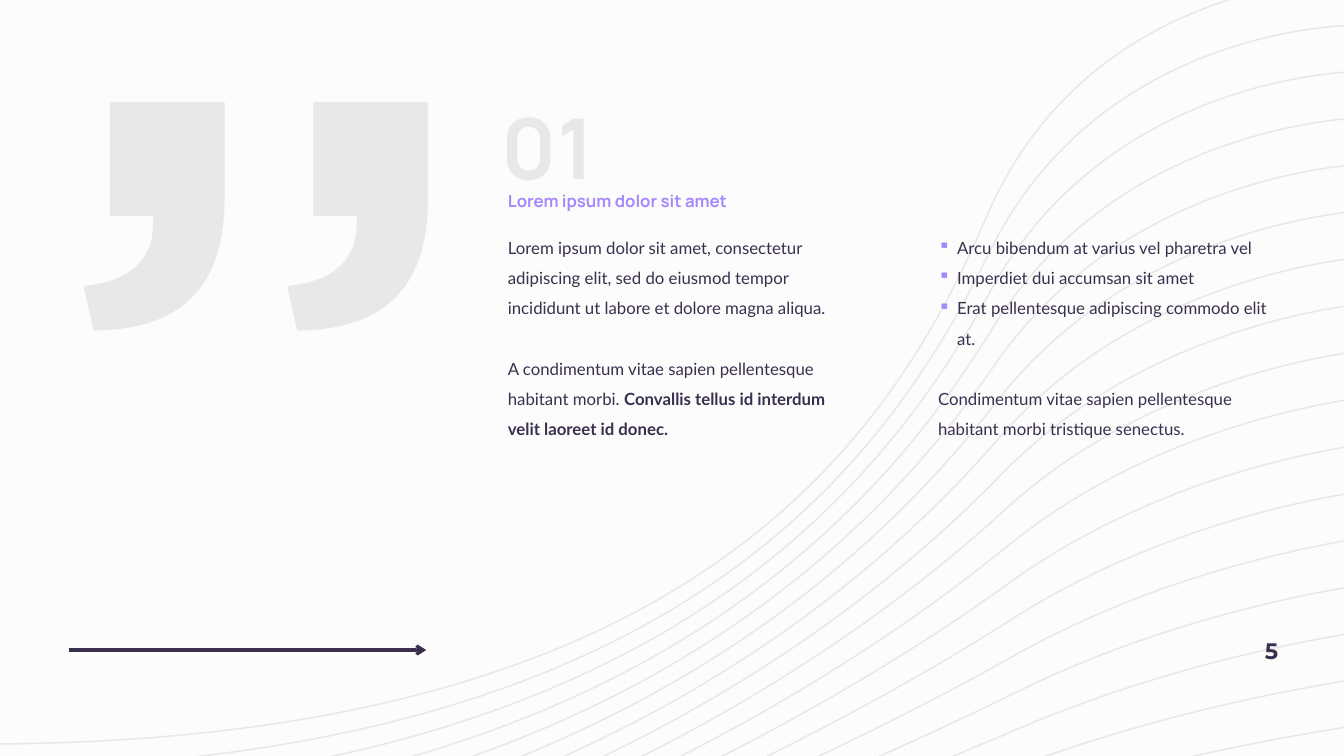
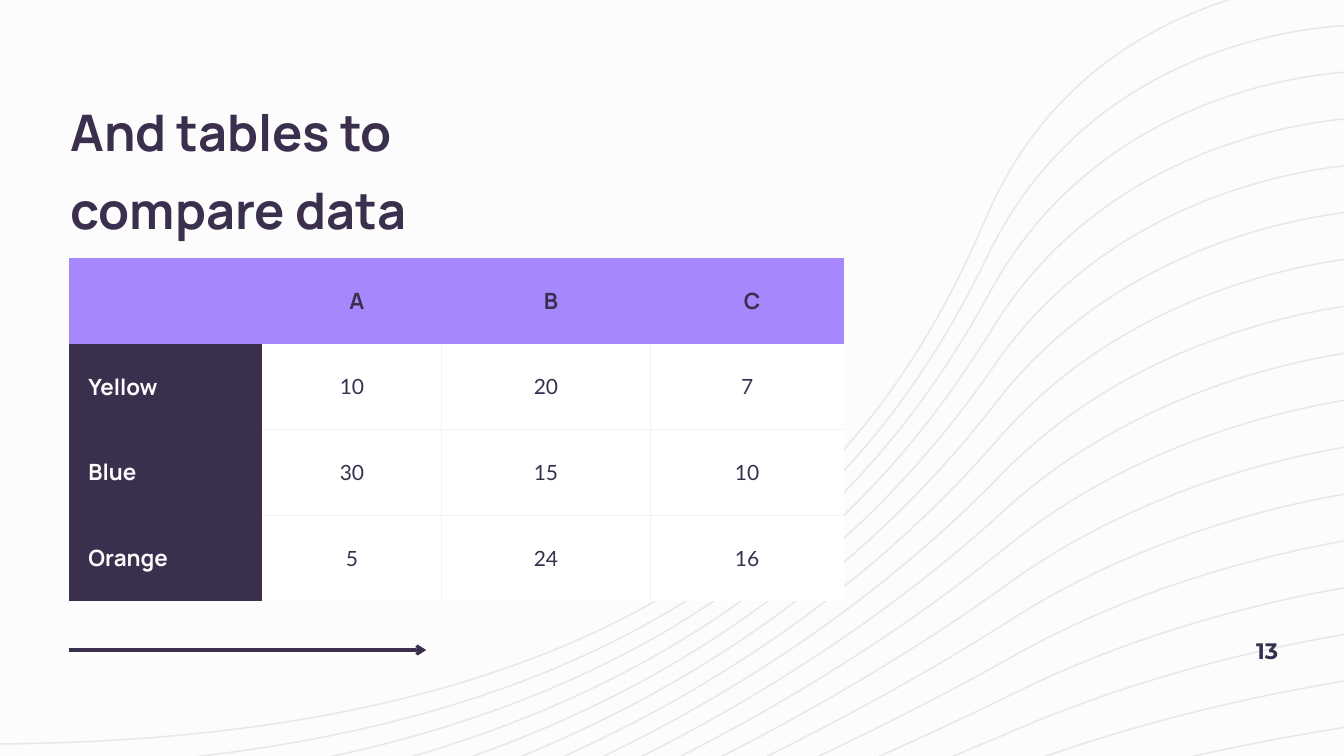
from dataclasses import dataclass

from pptx import Presentation
from pptx import util as u
from pptx.dml.color import RGBColor
from pptx.enum import shapes, text
from pptx.oxml import ns
from pptx.oxml.xmlchemy import OxmlElement


# Colours, fonts and type sizes
@dataclass(frozen=True)
class Theme:
    ink: str = "3B2F4E"
    accent: str = "A688FC"
    paper: str = "FCFCFC"
    white: str = "FFFFFF"
    grid: str = "F2F2F2"
    heading_font: str = "Manrope"
    body_font: str = "Lato"
    number_font: str = "Montserrat"
    number_size: int = 16
    body_size: int = 12
    title_size: int = 36
    figure_size: int = 60
    label_size: int = 16
    value_size: int = 15
    faint: int = 10  # opacity in percent


THEME = Theme()
BLANK_LINE = 21.6  # points

# Top, middle and bottom curves of the wave field, in cm
WAVE_COUNT = 17
WAVE_KEYS = (
    ((34.14, -0.53), (34.14, -0.53), (27.48, -0.69), (24.84, 5.51),
     (22.2, 11.71), (16.76, 18.75), (-0.53, 18.75)),
    ((34.82, 8.79), (34.82, 8.79), (29.41, 9.12), (25.32, 12.85),
     (20.45, 17.32), (12.17, 22.2), (0.43, 23.9)),
    ((35.51, 18.11), (35.51, 18.11), (30.94, 18.59), (25.81, 20.19),
     (18.26, 22.56), (7.59, 25.65), (1.42, 29.08)),
)

# Quote mark outline, in cm: one point is a line, three are a curve
QUOTE_START = (2.11, 7.21)
QUOTE_SEGMENTS = (
    ((3.28, 7.09), (3.86, 6.55), (3.86, 5.64)),
    ((3.86, 5.44),),
    ((2.77, 5.44),),
    ((2.77, 2.57),),
    ((5.66, 2.57),),
    ((5.66, 4.98),),
    ((5.66, 7.34), (4.47, 8.31), (2.36, 8.33)),
)
QUOTE_STEP = 5.13


def rgb(color):
    return RGBColor.from_string(color)


def add_child(parent, tag, **attributes):
    child = OxmlElement(tag)
    for name, value in attributes.items():
        child.set(name, str(value))
    parent.append(child)
    return child


def make_faint(element):
    """Make every solid colour under the element see-through."""
    for color in element.iter(ns.qn("a:srgbClr")):
        add_child(color, "a:alpha", val=THEME.faint * 1000)


def style_font(paragraph, font, size, color, bold=False):
    paragraph.font.name = font
    paragraph.font.size = u.Pt(size)
    paragraph.font.bold = bold
    paragraph.font.color.rgb = rgb(color)


# Text
def add_text_box(slide, left, top, width, height, inset=True):
    box = slide.shapes.add_textbox(*map(u.Cm, (left, top, width, height)))
    frame = box.text_frame
    frame.word_wrap = True
    if not inset:
        frame.margin_left = frame.margin_right = 0
        frame.margin_top = frame.margin_bottom = 0
    return frame


def add_line_of_text(frame, content, font, size, color, spacing=None, bold=True):
    paragraph = frame.paragraphs[0]
    paragraph.text = content
    paragraph.line_spacing = spacing
    style_font(paragraph, font, size, color, bold)
    return paragraph


def add_bullet(paragraph):
    properties = paragraph._p.get_or_add_pPr()
    indent = u.Cm(0.48)
    properties.set("marL", str(indent))
    properties.set("indent", str(-indent))
    color = add_child(properties, "a:buClr")
    add_child(color, "a:srgbClr", val=THEME.accent)
    add_child(properties, "a:buChar", char="▪")


def add_body(slide, left, entries):
    """Entries are (plain text, bold text, bulleted, space before)."""
    frame = add_text_box(slide, left, 5.61, 8.81, 5.54)
    for index, (plain, strong, bulleted, space) in enumerate(entries):
        paragraph = frame.add_paragraph() if index else frame.paragraphs[0]
        paragraph.line_spacing = 1.5
        if space:
            paragraph.space_before = u.Pt(space)
        if bulleted:
            add_bullet(paragraph)
        style_font(paragraph, THEME.body_font, THEME.body_size, THEME.ink, None)
        paragraph.add_run().text = plain
        if strong:
            run = paragraph.add_run()
            run.text = strong
            run.font.bold = True


# Curved outlines
def add_outline(group, start, segments, close=False):
    points = [tuple(map(u.Cm, point)) for segment in segments for point in segment]
    builder = group.shapes.build_freeform(*map(u.Cm, start))
    builder.add_line_segments(points, close=close)
    shape = builder.convert_to_shape()
    shape.shadow.inherit = False
    # Join three straight steps into one curve
    steps = iter(list(shape._element.iter(ns.qn("a:lnTo"))))
    for segment in segments:
        members = [next(steps) for _ in segment]
        if len(members) == 3:
            curve = OxmlElement("a:cubicBezTo")
            members[0].addprevious(curve)
            for member in members:
                curve.append(member[0])
                member.getparent().remove(member)
    return shape


def blend(first, middle, last, t):
    """Quadratic through three values at t = 0, 0.5 and 1."""
    return (first * (1 - t) * (1 - 2 * t) + middle * 4 * t * (1 - t)
            + last * t * (2 * t - 1))


def add_waves(slide):
    group = slide.shapes.add_group_shape()
    for index in range(WAVE_COUNT):
        t = index / (WAVE_COUNT - 1)
        points = [tuple(blend(*values, t) for values in zip(*keys))
                  for keys in zip(*WAVE_KEYS)]
        wave = add_outline(group, points[0], (points[1:4], points[4:]))
        wave.fill.background()
        wave.line.color.rgb = rgb(THEME.ink)
        wave.line.width = u.Pt(1.1)
        make_faint(wave._element)


def add_quote_marks(slide):
    group = slide.shapes.add_group_shape()
    for shift in (0, QUOTE_STEP):
        start, *segments = [
            [(x + shift, y) for x, y in segment]
            for segment in ((QUOTE_START,), *QUOTE_SEGMENTS)
        ]
        mark = add_outline(group, start[0], segments, close=True)
        mark.fill.solid()
        mark.fill.fore_color.rgb = rgb(THEME.ink)
        mark.line.fill.background()
        make_faint(mark._element)


def add_arrow(slide):
    arrow = slide.shapes.add_connector(
        shapes.MSO_CONNECTOR.STRAIGHT,
        u.Cm(1.73), u.Cm(16.38), u.Cm(10.74), u.Cm(16.38))
    arrow.line.color.rgb = rgb(THEME.ink)
    arrow.line.width = u.Pt(2.25)
    add_child(arrow.line._get_or_add_ln(), "a:tailEnd", type="arrow")
    add_child(arrow._element.spPr, "a:effectLst")


# Background, waves, arrow and page number of every slide
def add_slide(presentation, number):
    slide = presentation.slides.add_slide(presentation.slide_layouts[6])
    slide.background.fill.solid()
    slide.background.fill.fore_color.rgb = rgb(THEME.paper)
    add_waves(slide)
    add_arrow(slide)
    frame = add_text_box(slide, 30.48, 15.88, 1.98, 1.02)
    frame.vertical_anchor = text.MSO_ANCHOR.MIDDLE
    paragraph = add_line_of_text(
        frame, number, THEME.number_font, THEME.number_size, THEME.ink)
    paragraph.alignment = text.PP_ALIGN.RIGHT
    return slide


# Table
def style_cell(cell, row, column, last_row, last_column):
    header, label = row == 0, column == 0
    if not header and not label:
        inner_sides = {"L": column > 1, "R": column < last_column,
                       "T": row > 1, "B": row < last_row}
        for side, inner in inner_sides.items():
            if inner:
                line = add_child(cell._tc.get_or_add_tcPr(), f"a:ln{side}", w=u.Pt(1))
                fill = add_child(line, "a:solidFill")
                add_child(fill, "a:srgbClr", val=THEME.grid)
    cell.fill.solid()
    cell.fill.fore_color.rgb = rgb(
        THEME.accent if header else THEME.ink if label else THEME.white)
    cell.vertical_anchor = text.MSO_ANCHOR.MIDDLE
    if header or label:
        cell.margin_left = u.Cm(0.5)
    if label and not header:
        cell.margin_right = cell.margin_top = cell.margin_bottom = u.Cm(0.5)
    paragraph = cell.text_frame.paragraphs[0]
    if not label:
        paragraph.alignment = text.PP_ALIGN.CENTER
    if header or label:
        style_font(paragraph, THEME.heading_font, THEME.label_size,
                   THEME.ink if header else THEME.paper, True)
    else:
        style_font(paragraph, THEME.body_font, THEME.value_size, THEME.ink)


def add_data_table(slide, rows, widths, row_height):
    frame = slide.shapes.add_table(
        len(rows), len(widths), u.Cm(1.73), u.Cm(6.5),
        u.Cm(sum(widths)), u.Cm(row_height * len(rows)))
    table = frame.table
    table.first_row = table.horz_banding = False
    style = next(table._tbl.iter(ns.qn("a:tableStyleId")))
    style.text = "{2D5ABB26-0587-4C30-8999-92F81FD0307C}"  # no style, no grid
    for column, width in zip(table.columns, widths):
        column.width = u.Cm(width)
    for row_index, values in enumerate(rows):
        table.rows[row_index].height = u.Cm(row_height)
        for column_index, value in enumerate(values):
            cell = table.cell(row_index, column_index)
            cell.text = value
            style_cell(cell, row_index, column_index, len(rows) - 1, len(widths) - 1)


# Slides
def build_quote_slide(presentation):
    slide = add_slide(presentation, "5")
    add_body(slide, 12.55, (
        ("Lorem ipsum dolor sit amet, consectetur adipiscing elit, sed do eiusmod "
         "tempor incididunt ut labore et dolore magna aliqua.", "", False, 0),
        ("A condimentum vitae sapien pellentesque habitant morbi. ",
         "Convallis tellus id interdum velit laoreet id donec.", False, BLANK_LINE),
    ))
    add_quote_marks(slide)
    add_body(slide, 23.39, (
        ("Arcu bibendum at varius vel pharetra vel", "", True, 0),
        ("Imperdiet dui accumsan sit amet", "", True, 0),
        ("Erat pellentesque adipiscing commodo elit at.", "", True, 0),
        ("Condimentum vitae sapien pellentesque habitant morbi tristique senectus.",
         "", False, BLANK_LINE),
    ))
    subtitle = add_text_box(slide, 12.55, 4.42, 8.89, 0.94)
    add_line_of_text(subtitle, "Lorem ipsum dolor sit amet", THEME.heading_font,
                     THEME.body_size, THEME.accent, 1.5)
    figure = add_text_box(slide, 12.65, 1.65, 2.67, 3.12, inset=False)
    paragraph = add_line_of_text(figure, "01", THEME.heading_font,
                                 THEME.figure_size, THEME.ink, 1.3)
    make_faint(paragraph._p)


def build_table_slide(presentation):
    slide = add_slide(presentation, "13")
    title = add_text_box(slide, 1.78, 2.08, 10.74, 5.56, inset=False)
    add_line_of_text(title, "And tables to compare data", THEME.heading_font,
                     THEME.title_size, THEME.ink, 1.3)
    add_data_table(slide, (
        ("", "A", "B", "C"),
        ("Yellow", "10", "20", "7"),
        ("Blue", "30", "15", "10"),
        ("Orange", "5", "24", "16"),
    ), widths=(4.88, 4.52, 5.26, 4.88), row_height=2.16)


def main():
    presentation = Presentation()
    presentation.slide_width = u.Cm(33.87)
    presentation.slide_height = u.Cm(19.05)
    build_quote_slide(presentation)
    build_table_slide(presentation)
    presentation.save("out.pptx")


if __name__ == "__main__":
    main()
